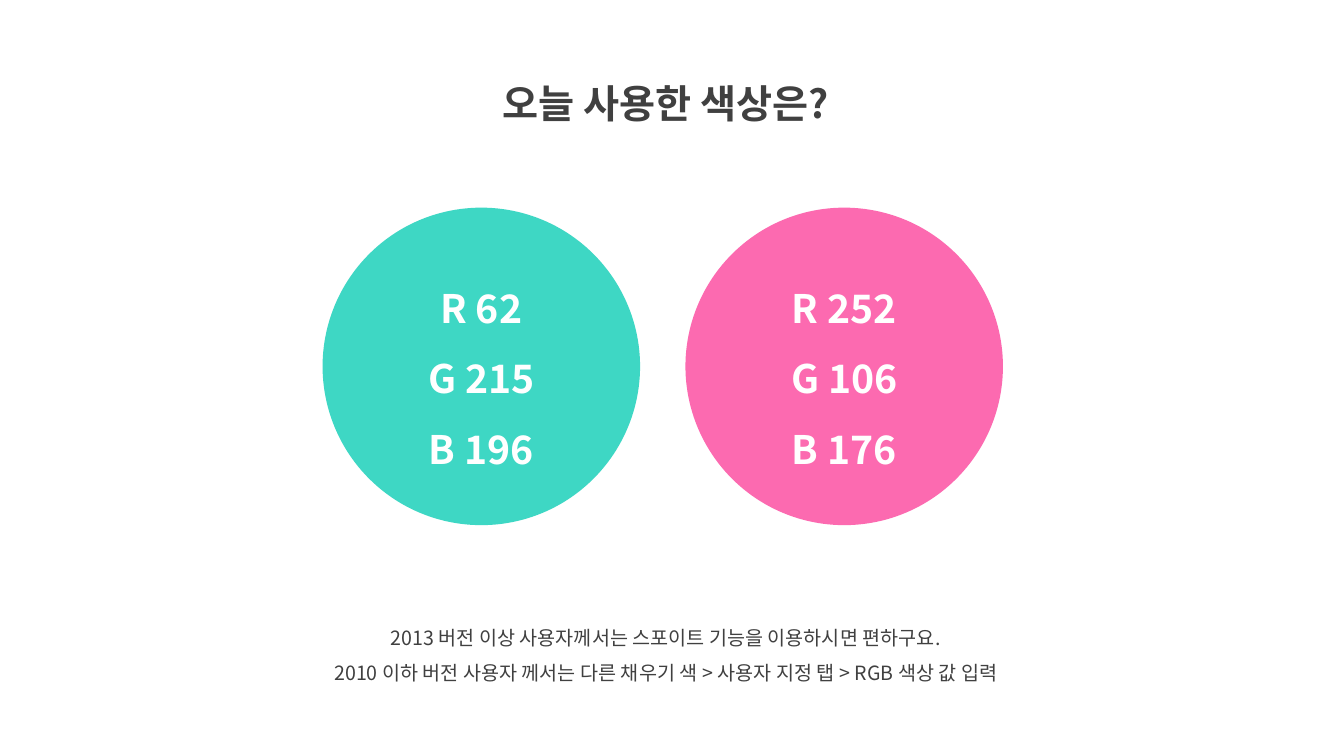
from lxml.etree import SubElement
from pptx import Presentation
from pptx.dml.color import RGBColor
from pptx.enum.shapes import MSO_SHAPE
from pptx.enum.text import MSO_ANCHOR, MSO_AUTO_SIZE, PP_ALIGN
from pptx.oxml.ns import qn
from pptx.util import Pt

# Content
QUESTION = "오늘 사용한 색상은?"
SWATCHES = [
    {"R": 62, "G": 215, "B": 196},
    {"R": 252, "G": 106, "B": 176},
]
TIPS = [
    "2013 버전 이상 사용자께서는 스포이트 기능을 이용하시면 편하구요.",
    "2010 이하 버전 사용자 께서는 다른 채우기 색 > 사용자 지정 탭 > RGB 색상 값 입력",
]

# Layout in points
SLIDE_SIZE = (960, 540)
QUESTION_BOX = (308.9, 36, 333.4, 51.8)
TIPS_BOX = (187.9, 434.9, 575.3, 58.3)
CIRCLE_LEFT, CIRCLE_TOP, CIRCLE_SIZE, CIRCLE_STEP = 230.4, 148.3, 226.8, 259.2

# Formats
FONT = "Noto Sans CJK KR"
HEADING = {"name": FONT, "size": Pt(28), "bold": True}
BODY = {"name": FONT, "size": Pt(14), "bold": False}
GROWING = {"word_wrap": True, "vertical_anchor": MSO_ANCHOR.TOP,
           "auto_size": MSO_AUTO_SIZE.SHAPE_TO_FIT_TEXT,
           "margin_left": Pt(7.2), "margin_right": Pt(7.2),
           "margin_top": Pt(3.6), "margin_bottom": Pt(3.6)}
CENTRED = {"word_wrap": True, "vertical_anchor": MSO_ANCHOR.MIDDLE}
LINE = {"alignment": PP_ALIGN.CENTER, "line_spacing": 1.5,
        "space_before": Pt(0), "space_after": Pt(0)}
DARK, WHITE = "404040", "FFFFFF"


def color(hex_code):
    return RGBColor.from_string(hex_code)


def apply(target, formats):
    for attribute, value in formats.items():
        setattr(target, attribute, value)


def write(frame, lines, frame_format, font_format, hex_code):
    apply(frame, frame_format)
    for index, line in enumerate(lines):
        paragraph = frame.add_paragraph() if index else frame.paragraphs[0]
        apply(paragraph, LINE)
        run = paragraph.add_run()
        run.text = line
        apply(run.font, font_format)
        run.font.color.rgb = color(hex_code)
        # Korean glyphs take the East Asian typeface
        SubElement(run._r.get_or_add_rPr(), qn("a:ea"), typeface=FONT)


prs = Presentation()
prs.slide_width, prs.slide_height = map(Pt, SLIDE_SIZE)
slide = prs.slides.add_slide(prs.slide_layouts[5])

# Question
question = slide.shapes.title
apply(question, dict(zip(("left", "top", "width", "height"), map(Pt, QUESTION_BOX))))
write(question.text_frame, [QUESTION], GROWING, HEADING, DARK)

# Tips
tips = slide.shapes.add_textbox(*map(Pt, TIPS_BOX))
write(tips.text_frame, TIPS, GROWING, BODY, DARK)

# Each circle is filled with the colour it lists
for column, channels in enumerate(SWATCHES):
    swatch = slide.shapes.add_shape(
        MSO_SHAPE.OVAL, Pt(CIRCLE_LEFT + column * CIRCLE_STEP), Pt(CIRCLE_TOP),
        Pt(CIRCLE_SIZE), Pt(CIRCLE_SIZE))
    swatch.shadow.inherit = False
    swatch.fill.solid()
    swatch.fill.fore_color.rgb = color("".join(f"{v:02X}" for v in channels.values()))
    swatch.line.fill.background()
    labels = [f"{channel} {value}" for channel, value in channels.items()]
    write(swatch.text_frame, labels, CENTRED, HEADING, WHITE)

prs.save("out.pptx")
